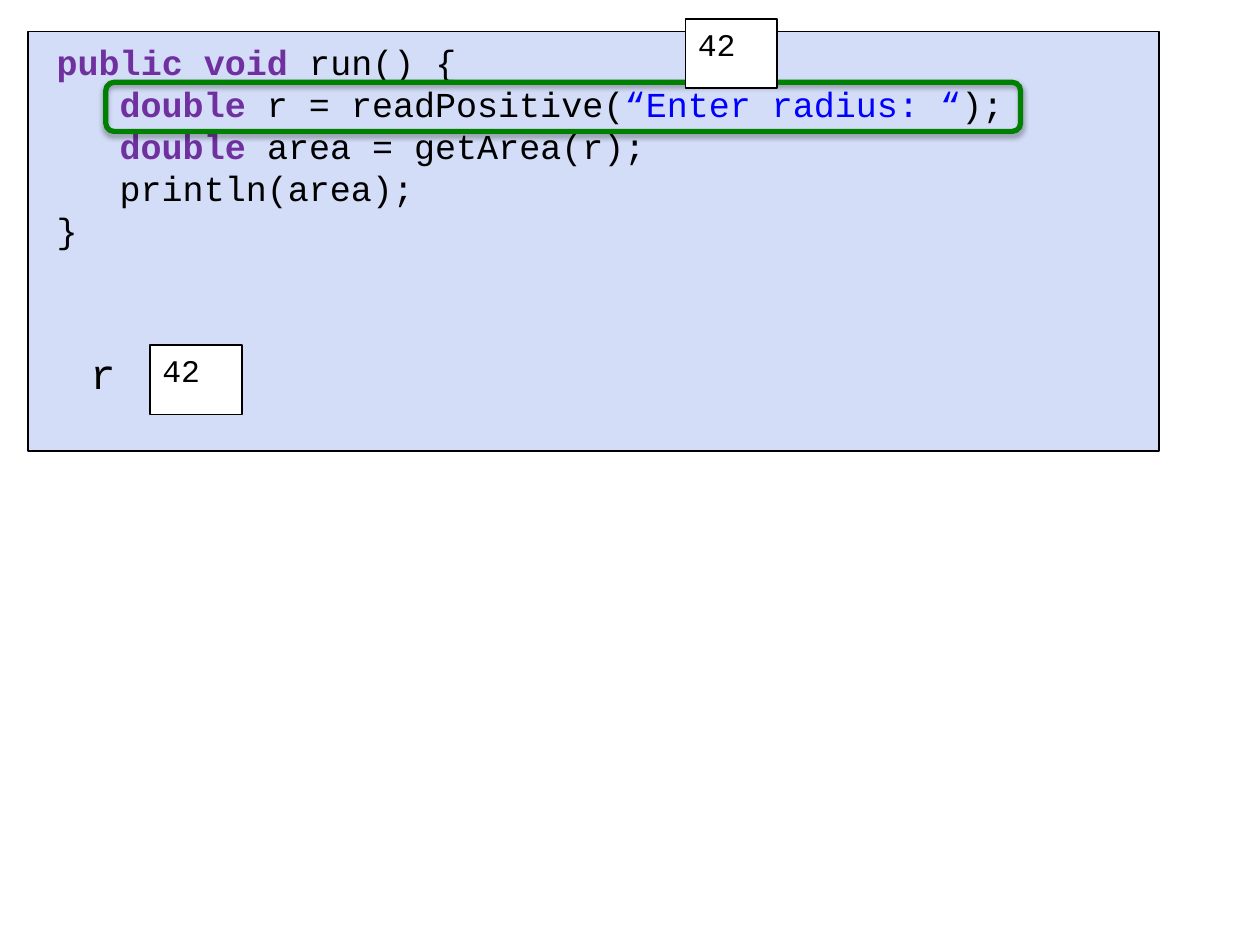
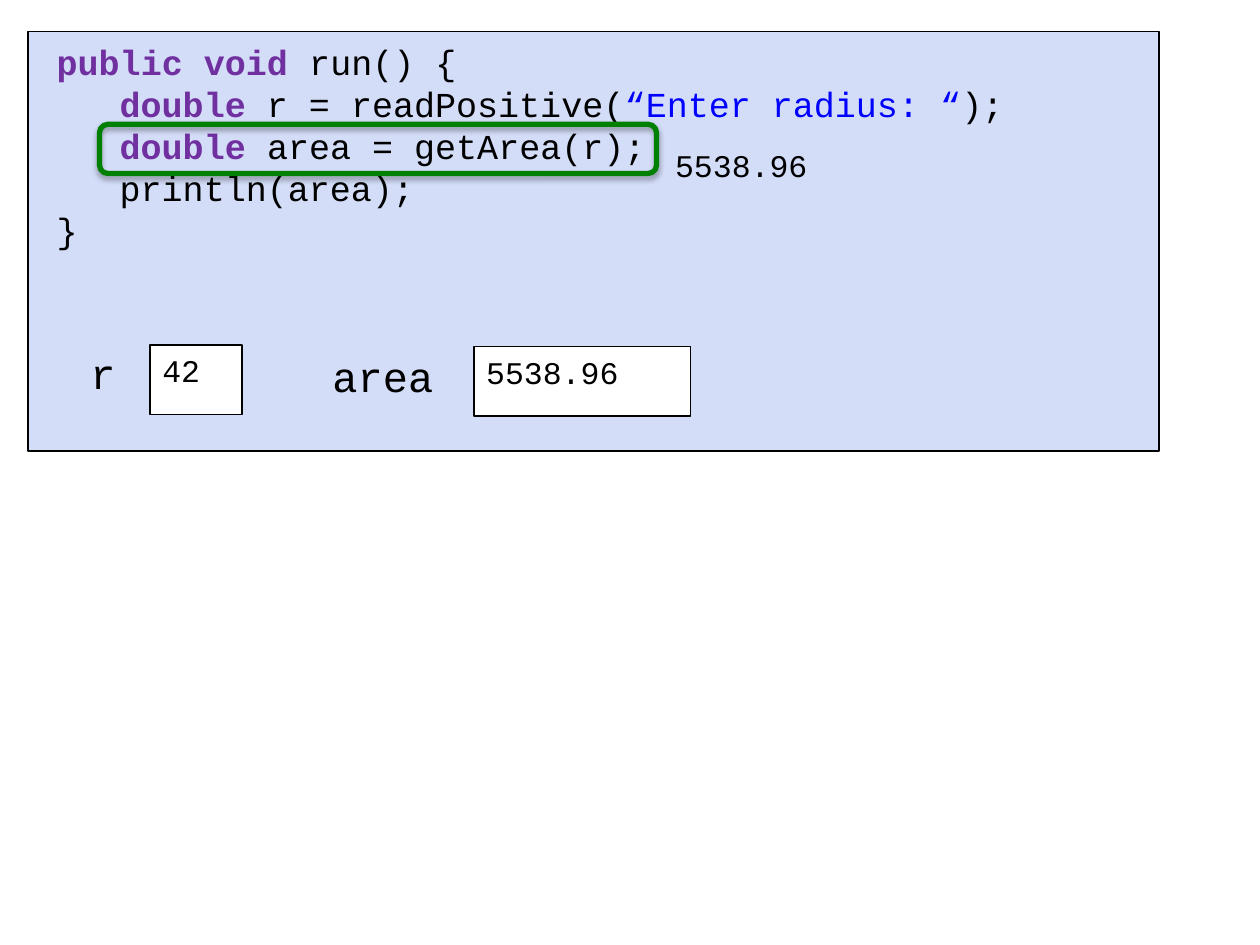
from dataclasses import dataclass

from lxml import etree
from pptx import Presentation
from pptx.dml.color import RGBColor
from pptx.enum import shapes, text
from pptx.oxml import ns
from pptx.util import Inches, Pt

BLACK = RGBColor(0, 0, 0)
INK = RGBColor(1, 0, 0)
WHITE = RGBColor(255, 255, 255)
PANEL = RGBColor(0xD4, 0xDD, 0xF8)
KEYWORD = RGBColor(0x70, 0x30, 0xA0)
STRING = RGBColor(0, 0, 255)
MARK = RGBColor(0, 0x80, 0)
FONT = "Courier New"
LINE_PITCH = 24  # points between code lines
CODE_TOP = 0.27
VALUE_HEIGHT = 0.55


@dataclass(frozen=True)
class Label:
    words: str
    left: float
    top: float
    width: float
    height: float


@dataclass(frozen=True)
class Value:
    words: str
    left: float
    top: float
    width: float
    boxed: bool = True


@dataclass(frozen=True)
class Highlight:
    line: int  # index of the code line
    left: float
    width: float


@dataclass(frozen=True)
class Step:
    highlight: Highlight
    values: tuple[Value, ...]
    labels: tuple[Label, ...]


# Each code line: indent level, then (words, colour) runs
CODE = (
    (0, (("public void ", KEYWORD), ("run() {", BLACK))),
    (1, (("double", KEYWORD), (" r = readPositive(", BLACK),
         ("“Enter radius: “", STRING), (");", BLACK))),
    (1, (("double ", KEYWORD), ("area = getArea(r);", BLACK))),
    (1, (("println(area);", BLACK),)),
    (0, (("}", BLACK),)),
)

R_LABEL = Label("r", 0.62, 2.71, 0.4, 0.51)
R_VALUE = Value("42", 1.19, 2.74, 0.73)
STEPS = (
    Step(Highlight(1, 0.84, 7.26),
         (Value("42", 5.44, 0.15, 0.73), R_VALUE),
         (R_LABEL,)),
    Step(Highlight(2, 0.79, 4.42),
         (R_VALUE, Value("5538.96", 5.26, 1.11, 1.7, boxed=False),
          Value("5538.96", 3.76, 2.75, 1.72)),
         (R_LABEL, Label("area", 2.54, 2.73, 1.01, 0.5))),
)


def add_run(p, words: str, size: int, color: RGBColor, bold: bool = False) -> None:
    r = p.add_run()
    r.text = words
    r.font.name, r.font.size, r.font.bold = FONT, Pt(size), bold
    r.font.color.rgb = color


def add_box(slide, left: float, top: float, width: float, height: float,
            fill: RGBColor):
    sp = slide.shapes.add_shape(shapes.MSO_SHAPE.RECTANGLE, Inches(left), Inches(top),
                                Inches(width), Inches(height))
    sp.shadow.inherit = False
    sp.fill.solid()
    sp.fill.fore_color.rgb = fill
    sp.line.color.rgb = BLACK
    sp.line.width = Pt(1)
    return sp


def add_code(slide) -> None:
    # The panel goes behind the body placeholder
    panel = add_box(slide, 0.22, 0.25, 8.98, 3.33, PANEL)
    body = slide.placeholders[1]
    body.element.addprevious(panel.element)
    body.left, body.top = Inches(0.35), Inches(CODE_TOP)
    body.width, body.height = Inches(9.32), Inches(2.36)
    tf = body.text_frame
    tf.auto_size = text.MSO_AUTO_SIZE.NONE
    for i, (level, runs) in enumerate(CODE):
        p = tf.paragraphs[0] if i == 0 else tf.add_paragraph()
        p.line_spacing = Pt(LINE_PITCH)
        p.space_before = Pt(0)
        pPr = p._p.get_or_add_pPr()
        pPr.set("marL", str(Inches(0.5 * level)))
        pPr.set("indent", "0")
        etree.SubElement(pPr, ns.qn("a:buNone"))
        for words, color in runs:
            add_run(p, words, 20, color, bold=color == KEYWORD)


def add_highlight(slide, mark: Highlight) -> None:
    top = CODE_TOP + 0.05 + mark.line * LINE_PITCH / 72
    sp = slide.shapes.add_shape(shapes.MSO_SHAPE.ROUNDED_RECTANGLE, Inches(mark.left),
                                Inches(top), Inches(mark.width), Inches(0.39))
    sp.fill.background()
    sp.line.color.rgb = MARK
    sp.line.width = Pt(3)
    # Soft shadow straight below the frame
    sp.shadow.inherit = False
    effects = sp.element.spPr.find(ns.qn("a:effectLst"))
    shadow = etree.SubElement(effects, ns.qn("a:outerShdw"), blurRad=str(Pt(3.1)),
                              dist=str(Pt(1.8)), dir="5400000", rotWithShape="0")
    color = etree.SubElement(shadow, ns.qn("a:srgbClr"), val=str(BLACK))
    etree.SubElement(color, ns.qn("a:alpha"), val="35000")


def add_value(slide, value: Value) -> None:
    if value.boxed:
        sp = add_box(slide, value.left, value.top, value.width, VALUE_HEIGHT, WHITE)
    else:
        sp = slide.shapes.add_textbox(Inches(value.left), Inches(value.top),
                                      Inches(value.width), Inches(VALUE_HEIGHT))
    tf = sp.text_frame
    tf.word_wrap = True
    tf.vertical_anchor = text.MSO_ANCHOR.TOP
    p = tf.paragraphs[0]
    p.alignment = text.PP_ALIGN.LEFT
    add_run(p, value.words, 18, INK)


def add_label(slide, label: Label) -> None:
    sp = slide.shapes.add_textbox(Inches(label.left), Inches(label.top),
                                  Inches(label.width), Inches(label.height))
    tf = sp.text_frame
    tf.word_wrap = False
    tf.auto_size = text.MSO_AUTO_SIZE.SHAPE_TO_FIT_TEXT
    add_run(tf.paragraphs[0], label.words, 24, INK)


def add_step(prs, step: Step) -> None:
    slide = prs.slides.add_slide(prs.slide_layouts[1])
    title = slide.shapes.title.element
    title.getparent().remove(title)
    add_code(slide)
    add_highlight(slide, step.highlight)
    for label in step.labels:
        add_label(slide, label)
    for value in step.values:
        add_value(slide, value)


def main() -> None:
    prs = Presentation()
    prs.slide_width, prs.slide_height = Inches(10), Inches(7.5)
    for step in STEPS:
        add_step(prs, step)
    prs.save("out.pptx")


if __name__ == "__main__":
    main()
